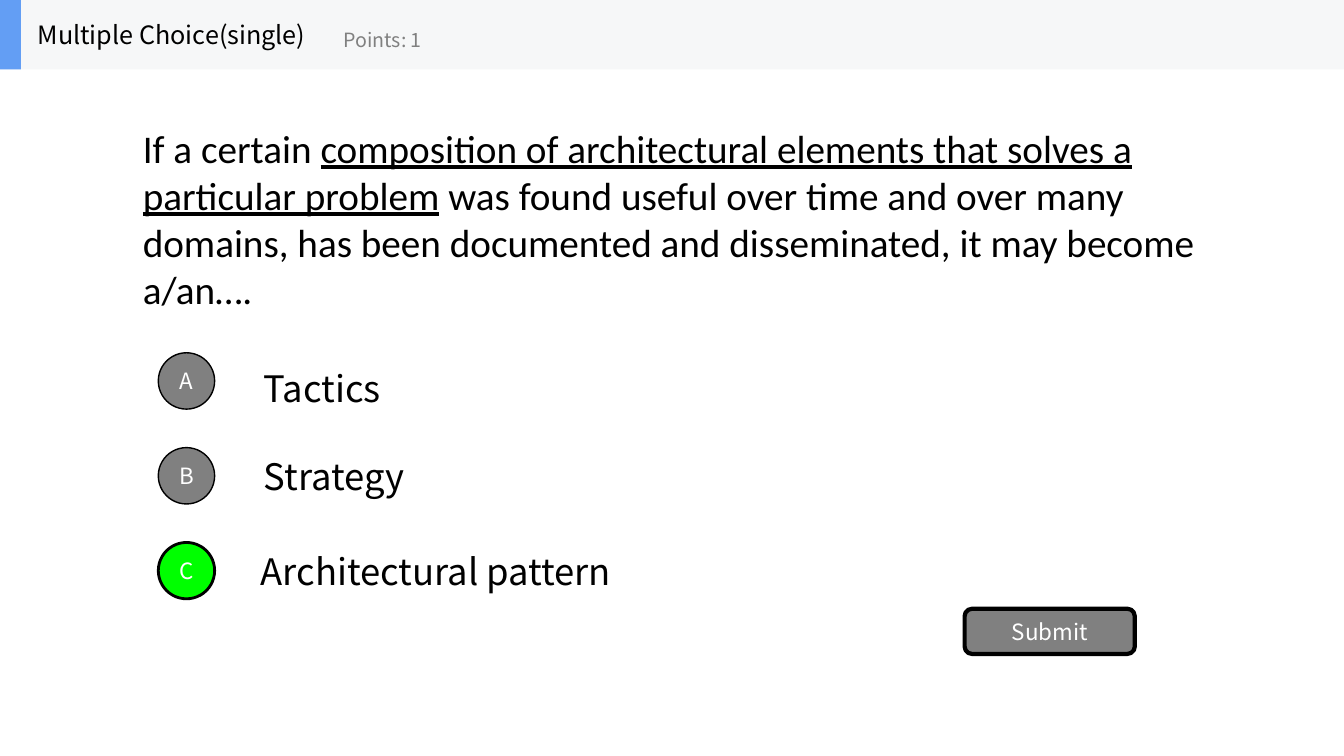
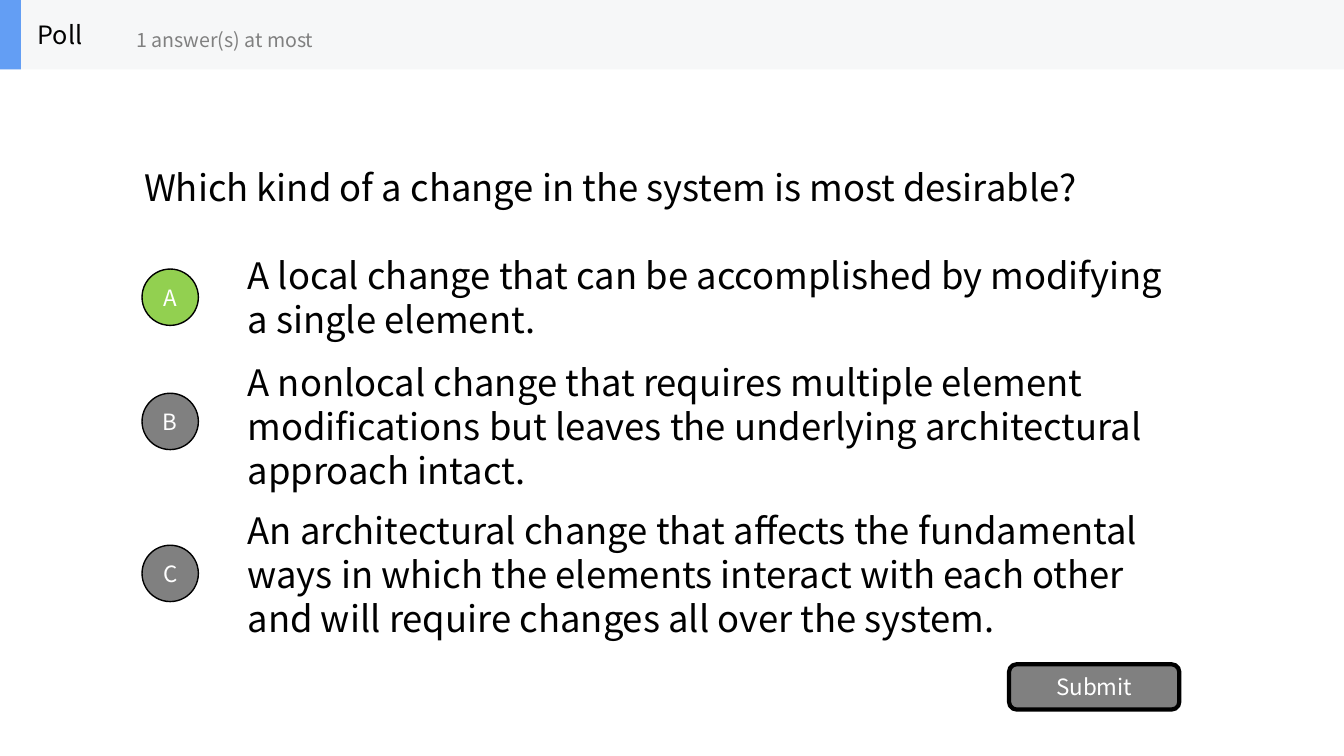
"""Build two quiz slides: a single-choice question and a poll."""
from pptx import Presentation
from pptx import util as u
from pptx.dml.color import RGBColor
from pptx.enum import shapes, text

SANS = "Noto Sans CJK SC"
BLACK, WHITE, GREY = "000000", "FFFFFF", "808080"
BAND, ACCENT = "F6F7F8", "639EF4"
BAND_H = 1.75
MSO = shapes.MSO_SHAPE

SLIDES = [
    dict(
        title="Multiple Choice(single)", note="Points: 1", note_x=8.41,
        question=["If a certain ",
                  "composition of architectural elements that solves a particular problem",
                  " was found useful over time and over many domains, has been documented"
                  " and disseminated, it may become a/an…."],
        question_box=(3.35, 2.79, 27.1, 5.41), question_font=("Calibri", 28),
        circle_x=3.99, submit=(24.31, 15.34),
        options=[("Tactics", 6.4, 8.89, 8.89, GREY, 1),
                 ("Strategy", 6.4, 11.1, 11.28, GREY, 1),
                 ("Architectural pattern", 6.32, 13.49, 13.67, "00FF00", 2)],
    ),
    dict(
        title="Poll", note="1 answer(s) at most", note_x=3.18,
        question=["Which kind of a change in the system is most desirable?"],
        question_box=(3.38, 1.75, 27.1, 5.94), question_font=(SANS, 26),
        circle_x=3.58, submit=(25.43, 16.74),
        options=[("A local change that can be accomplished by modifying a single element.",
                  5.99, 6.6, 6.78, "92D050", 1),
                 ("A nonlocal change that requires multiple element modifications but"
                  " leaves the underlying architectural approach intact.",
                  5.99, 9.83, 9.91, GREY, 1),
                 ("An architectural change that affects the fundamental ways in which the"
                  " elements interact with each other and will require changes all over"
                  " the system.", 5.99, 13.56, 13.74, GREY, 1)],
    ),
]


def add_text(parent, box, runs, size, color=BLACK, font=SANS):
    sp = parent.add_textbox(*map(u.Cm, box))
    tf = sp.text_frame
    tf.word_wrap = True
    tf.vertical_anchor = text.MSO_ANCHOR.MIDDLE
    p = tf.paragraphs[0]
    for i, part in enumerate(runs):
        r = p.add_run()
        r.text = part
        r.font.name, r.font.size = font, u.Pt(size)
        r.font.color.rgb = RGBColor.from_string(color)
        if i == 1:
            r.font.underline = True
    return p


def add_box(parent, kind, box, fill, line=0, label=""):
    sp = parent.add_shape(kind, *map(u.Cm, box))
    sp.shadow.inherit = False
    sp.fill.solid()
    sp.fill.fore_color.rgb = RGBColor.from_string(fill)
    if line:
        sp.line.color.rgb = RGBColor.from_string(BLACK)
        sp.line.width = u.Pt(line)
    else:
        sp.line.fill.background()
    if label:
        tf = sp.text_frame
        tf.text = label
        tf.margin_left = tf.margin_right = tf.margin_top = tf.margin_bottom = 0
        tf.vertical_anchor = text.MSO_ANCHOR.MIDDLE
        p = tf.paragraphs[0]
        p.alignment = text.PP_ALIGN.CENTER
        f = p.runs[0].font
        f.name, f.size = SANS, u.Pt(16)
        f.color.rgb = RGBColor.from_string(WHITE)


prs = Presentation()
prs.slide_width, prs.slide_height = u.Cm(33.87), u.Cm(19.05)

for d in SLIDES:
    s = prs.slides.add_slide(prs.slide_layouts[6])

    font, size = d["question_font"]
    p = add_text(s.shapes, d["question_box"], d["question"], size, font=font)

    for letter, (answer, x, y, circle_y, fill, line) in zip("ABC", d["options"]):
        p = add_text(s.shapes, (x, y, 23.7, 1.78), [answer], 26)
        p.line_spacing = u.Pt(31.4)
        add_box(s.shapes, MSO.OVAL, (d["circle_x"], circle_y, 1.42, 1.42), fill, line, letter)

    add_box(s.shapes, MSO.ROUNDED_RECTANGLE, (*d["submit"], 4.29, 1.14), GREY, 3, "Submit")

    header = s.shapes.add_group_shape().shapes
    add_box(header, MSO.RECTANGLE, (0, 0, 33.87, BAND_H), BAND)
    add_box(header, MSO.RECTANGLE, (0, 0, 0.53, BAND_H), ACCENT)
    add_text(header, (0.7, 0, 7.6, BAND_H), [d["title"]], 18)
    add_text(header, (d["note_x"], 0.3, 6.35, 1.42), [d["note"]], 14, GREY)

prs.save("out.pptx")
